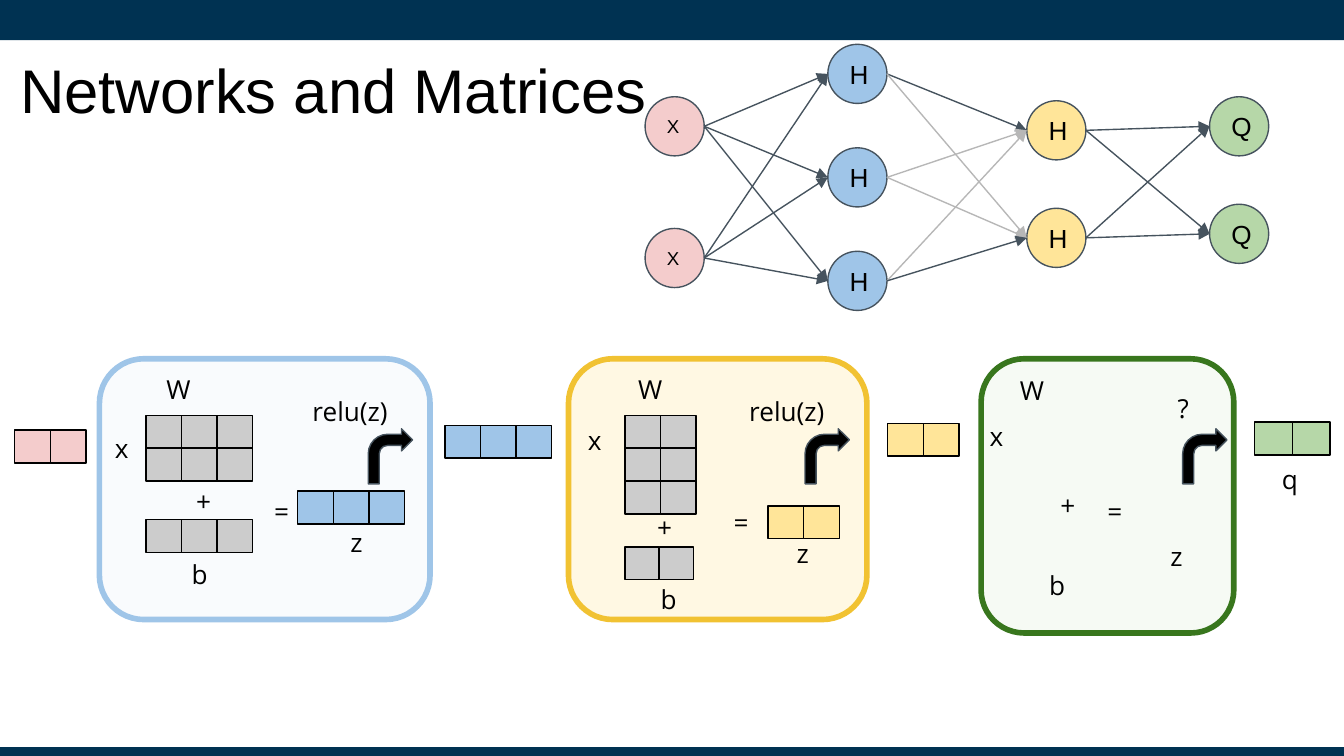
from lxml import etree
from pptx import Presentation
from pptx import util as u
from pptx.dml.color import RGBColor
from pptx.enum import shapes, text
from pptx.oxml.ns import qn

PX = 4572  # 200 px to the inch
INK = {
    "navy": "003252", "black": "000000", "slate": "46535E", "pale": "B7B7B7",
    "pink": "F4CCCC", "blue": "9FC5E8", "yellow": "FFE599", "green": "B6D7A8",
    "grey": "CCCCCC", "sky": "CFE2F3", "sun": "FFD966", "gold": "F1C232",
    "forest": "38761D",
}
SHAPE = shapes.MSO_SHAPE
LEFT, MID = text.PP_ALIGN.LEFT, text.PP_ALIGN.CENTER
TOP, HALF = text.MSO_ANCHOR.TOP, text.MSO_ANCHOR.MIDDLE

prs = Presentation()
prs.slide_width, prs.slide_height = 2000 * PX, 1125 * PX
slide = prs.slides.add_slide(prs.slide_layouts[5])


def draw(kind, x, y, w, h, fill, line=None, width=0.75):
    item = slide.shapes.add_shape(kind, x * PX, y * PX, w * PX, h * PX)
    item.shadow.inherit = False
    item.fill.solid()
    item.fill.fore_color.rgb = RGBColor.from_string(INK[fill])
    if line:
        item.line.color.rgb = RGBColor.from_string(INK[line])
        item.line.width = u.Pt(width)
    else:
        item.line.fill.background()
    return item


def write(item, words, size, face, align, anchor, side=20, edge=20):
    """Fill a shape's text frame; side and edge are its insets in px."""
    frame = item.text_frame
    frame.word_wrap = True
    frame.auto_size = text.MSO_AUTO_SIZE.NONE
    frame.vertical_anchor = anchor
    frame.margin_left = frame.margin_right = side * PX
    frame.margin_top = frame.margin_bottom = edge * PX
    para = frame.paragraphs[0]
    para.text = words
    para.alignment = align
    para.font.size = u.Pt(size)
    para.font.name = face
    para.font.color.rgb = RGBColor.from_string(INK["black"])


# Bars and title
draw(SHAPE.RECTANGLE, 0, 0, 2000, 60, "navy")
draw(SHAPE.RECTANGLE, 0, 1112, 2000, 13, "navy")
title = slide.shapes.title
title.left, title.top, title.width, title.height = [
    n * PX for n in (16, 38, 1800, 188)]
write(title, "Networks and Matrices", 33, "Arial", LEFT, HALF, 14, 8)

# Network: letter, text size, colour, left, tops
NODE = 88
layers = [
    ("X", 10, "pink", 960, [144, 340]),
    ("H", 14, "blue", 1232, [66, 220, 374]),
    ("H", 14, "yellow", 1528, [150, 310]),
    ("Q", 14, "green", 1800, [144, 304]),
]
for letter, size, fill, x, tops in layers:
    for y in tops:
        node = draw(SHAPE.FLOWCHART_CONNECTOR, x, y, NODE, NODE, fill, "slate")
        write(node, letter, size, "Arial", LEFT, HALF)

for step, (near, far) in enumerate(zip(layers, layers[1:])):
    for i, start in enumerate(near[4]):
        for j, end in enumerate(far[4]):
            faint = step == 1 and (i, j) not in [(0, 0), (2, 1)]
            link = slide.shapes.add_connector(
                shapes.MSO_CONNECTOR.STRAIGHT,
                (near[3] + NODE) * PX, (start + NODE // 2) * PX,
                far[3] * PX, (end + NODE // 2) * PX)
            link.line.color.rgb = RGBColor.from_string(
                INK["pale" if faint else "slate"])
            link.line.width = u.Pt(0.75)
            etree.SubElement(link.line._get_or_add_ln(), qn("a:tailEnd"),
                             type="triangle")
            etree.SubElement(link._element.spPr, qn("a:effectLst"))

# Panels: left, width, height, fill, alpha, line
for x, w, h, fill, alpha, line in [
    (148, 492, 388, "sky", 11000, "blue"),
    (846, 444, 388, "sun", 18000, "gold"),
    (1460, 376, 408, "green", 12000, "forest"),
]:
    panel = draw(SHAPE.ROUNDED_RECTANGLE, x, 534, w, h, fill, line, 3)
    panel.adjustments[0] = 0.17
    tint = panel._element.spPr.find(qn("a:solidFill"))[0]
    etree.SubElement(tint, qn("a:alpha"), val=str(alpha))

# Matrices: left, top, columns, rows, cell width, colour
for x, y, cols, rows, w, fill in [
    (22, 640, 2, 1, 53, "pink"),
    (662, 633, 3, 1, 53, "blue"),
    (1321, 630, 2, 1, 53, "yellow"),
    (1867, 628, 2, 1, 56, "green"),
    (217, 618, 3, 2, 53, "grey"),
    (217, 773, 3, 1, 53, "grey"),
    (443, 731, 3, 1, 53, "blue"),
    (930, 618, 2, 3, 53, "grey"),
    (930, 814, 2, 1, 51, "grey"),
    (1143, 753, 2, 1, 53, "yellow"),
]:
    for row in range(rows):
        for col in range(cols):
            draw(SHAPE.RECTANGLE, x + col * w, y + row * 49, w, 49, fill,
                 "black")

for x in (548, 1198, 1760):
    arrow = draw(SHAPE.BENT_ARROW, x, 638, 66, 82, "black", "slate")
    arrow.adjustments[3] = 0.44

# Labels by box: width, height, alignment, anchor, [(words, left, top)]
for w, h, align, anchor, labels in [
    (150, 34, LEFT, TOP, [("W", 228, 538), ("W", 930, 538), ("W", 1498, 540)]),
    (206, 84, MID, TOP, [("relu(z)", 418, 568), ("relu(z)", 1068, 568),
                         ("?", 1658, 564)]),
    (66, 90, LEFT, TOP, [("z", 502, 764), ("z", 1166, 780), ("z", 1722, 784),
                         ("q", 1888, 670)]),
    (150, 34, MID, HALF, [
        ("x", 106, 650), ("+", 228, 728), ("b", 222, 838), ("=", 344, 744),
        ("x", 810, 638), ("+", 914, 768), ("b", 920, 874), ("=", 1028, 760),
        ("x", 1408, 632), ("+", 1514, 734), ("b", 1498, 854),
        ("=", 1584, 744)]),
]:
    for words, x, y in labels:
        box = slide.shapes.add_textbox(x * PX, y * PX, w * PX, h * PX)
        write(box, words, 14, "Open Sans", align, anchor)

prs.save("out.pptx")
